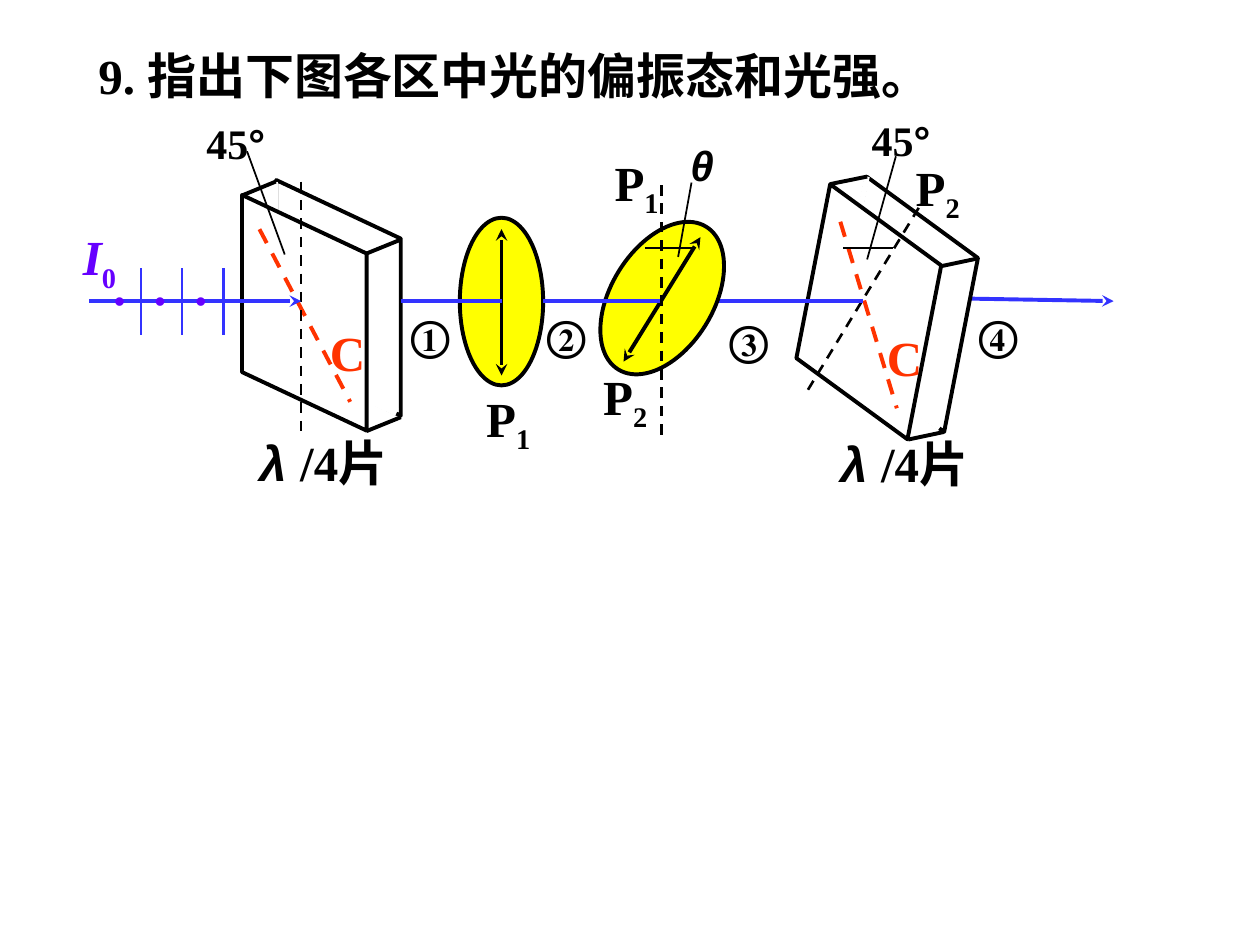
from lxml.etree import SubElement
from pptx import Presentation
from pptx.dml.color import RGBColor
from pptx.enum.dml import MSO_LINE
from pptx.enum.shapes import MSO_CONNECTOR, MSO_SHAPE
from pptx.enum.text import MSO_ANCHOR, MSO_AUTO_SIZE, PP_ALIGN
from pptx.oxml.ns import qn
from pptx.util import Cm, Pt

BLACK, WHITE, YELLOW = "000000", "FFFFFF", "FFFF00"
BLUE, PURPLE, RED = "3333FF", "6600FF", "FF3300"
SERIF, SANS = "Times New Roman", "Arial"
BEAM_Y = 6.07


def color(hex_value):
    return RGBColor.from_string(hex_value)


def add_run(paragraph, text, size, font=SERIF, hue=BLACK, bold=True, italic=False, sub=False):
    run = paragraph.add_run()
    run.text = text
    run.font.size = Pt(size)
    run.font.name = font
    run.font.bold = bold
    run.font.italic = italic
    run.font.color.rgb = color(hue)
    if sub:
        run.font._element.set("baseline", "-25000")


def add_label(slide, left, top, width, height, *runs):
    label = slide.shapes.add_textbox(Cm(left), Cm(top), Cm(width), Cm(height))
    label.text_frame.word_wrap = True
    for run in runs:
        add_run(label.text_frame.paragraphs[0], **run)


def add_polarizer_name(slide, left, top, number):
    add_label(slide, left, top, 1.83, 1.6,
              dict(text="P", size=28), dict(text=number, size=28, sub=True))


def add_ray(slide, start, end, hue=BLACK, weight=2.25, dashed=False, head=False, tail=False):
    ray = slide.shapes.add_connector(
        MSO_CONNECTOR.STRAIGHT, *(Cm(value) for value in (*start, *end)))
    ray.line.color.rgb = color(hue)
    ray.line.width = Pt(weight)
    if dashed:
        ray.line.dash_style = MSO_LINE.DASH
    outline = ray.line._get_or_add_ln()
    for shown, tag in ((head, "a:headEnd"), (tail, "a:tailEnd")):
        if shown:
            SubElement(outline, qn(tag)).set("type", "stealth")
    SubElement(ray._element.spPr, qn("a:effectLst"))


def add_beam(slide, start, end, tail=False):
    add_ray(slide, (start, BEAM_Y), (end, BEAM_Y), BLUE, tail=tail)


def style_outline(shape, fill, weight=2.25):
    shape.shadow.inherit = False
    if fill:
        shape.fill.solid()
        shape.fill.fore_color.rgb = color(fill)
    else:
        shape.fill.background()
    shape.line.color.rgb = color(BLACK)
    shape.line.width = Pt(weight)


def add_face(slide, left, top, rotation, fill=None):
    face = slide.shapes.add_shape(
        MSO_SHAPE.PARALLELOGRAM, Cm(left), Cm(top), Cm(4.75), Cm(2.51))
    face.adjustments[0] = 0.47
    face.rotation = rotation
    style_outline(face, fill)


def add_wave_plate(slide, rotation, back, front, right_edges, masks, top_edge, optic_axis):
    add_face(slide, *back, rotation)
    for edge in right_edges:
        add_ray(slide, *edge)
    for mask, weight in zip(masks, (3, 4.5)):
        add_ray(slide, *mask, WHITE, weight)
    add_face(slide, *front, rotation, WHITE)
    add_ray(slide, *top_edge)
    add_ray(slide, *optic_axis, RED, dashed=True)


def add_polarizer(slide, left, top, width, rotation, axis):
    disc = slide.shapes.add_shape(MSO_SHAPE.OVAL, Cm(left), Cm(top), Cm(width), Cm(3.38))
    disc.rotation = rotation
    style_outline(disc, YELLOW)
    add_ray(slide, *axis, head=True, tail=True)


def bezier(p0, p1, p2, p3, t):
    return tuple((1 - t) ** 3 * a + 3 * (1 - t) ** 2 * t * b + 3 * (1 - t) * t ** 2 * c + t ** 3 * d
                 for a, b, c, d in zip(p0, p1, p2, p3))


def add_angle_arc(slide, *knots, steps=8):
    curve = [bezier(*knots[i:i + 4], step / steps)
             for i in range(0, len(knots) - 1, 3) for step in range(1, steps + 1)]
    builder = slide.shapes.build_freeform(*knots[0], scale=Cm(1))
    builder.add_line_segments(curve, close=False)
    style_outline(builder.convert_to_shape(), None, 1.5)


def add_title(slide, text):
    title = slide.shapes.title
    title.left, title.top, title.width, title.height = Cm(1.73), Cm(0.79), Cm(20.73), Cm(1.45)
    frame = title.text_frame
    frame.vertical_anchor = MSO_ANCHOR.TOP
    frame.auto_size = MSO_AUTO_SIZE.NONE
    frame.paragraphs[0].alignment = PP_ALIGN.LEFT
    add_run(frame.paragraphs[0], text, 28)


def add_incoming_light(slide):
    add_ray(slide, (6.07, 3.66), (6.07, 8.69), weight=1.5, dashed=True)
    add_beam(slide, 1.8, 6.07, tail=True)
    for index in range(3):
        tick = 2.84 + 0.83 * index
        add_ray(slide, (tick, 5.41), (tick, 6.76), BLUE, 1.5)
        add_label(slide, 2.05 + 0.82 * index, 5.54, 1.02, 1.02,
                  dict(text="•", size=18, font=SANS, hue=PURPLE, bold=False))
    add_label(slide, 1.42, 4.45, 1.52, 1.6,
              dict(text="I", size=28, hue=PURPLE, italic=True),
              dict(text="0", size=28, hue=PURPLE, sub=True))


def add_plate_labels(slide, axis_name, plate_name, angle):
    add_label(slide, *axis_name, 1.57, 1.45, dict(text="C", size=28, hue=RED))
    add_label(slide, *plate_name, 4.29, 1.45,
              dict(text="λ ", size=28, font=SANS, italic=True), dict(text="/4片", size=28))
    add_label(slide, *angle, 2.21, 1.27,
              dict(text="45", size=24), dict(text="°", size=24, font=SANS))


def main():
    deck = Presentation()
    deck.slide_width, deck.slide_height = Cm(25.4), Cm(19.05)
    slide = deck.slides.add_slide(deck.slide_layouts[5])
    add_title(slide, "9. 指出下图各区中光的偏振态和光强。")

    add_wave_plate(
        slide, 270, back=(4.45, 4.75), front=(3.76, 5.05),
        right_edges=(((7.39, 5.11), (8.08, 4.83)), ((7.39, 8.69), (8.08, 8.41))),
        masks=(((5.56, 3.66), (5.56, 4.52)), ((7.32, 8), (8, 8.31))),
        top_edge=((4.88, 3.94), (5.56, 3.66)), optic_axis=((5.23, 4.62), (7.06, 8.1)))
    add_incoming_light(slide)
    add_ray(slide, (19.56, 6.02), (22.45, BEAM_Y), BLUE, tail=True)
    add_angle_arc(slide, (5.59, 5.33), (5.61, 5.18), (5.64, 5.03), (5.74, 4.98),
                  (5.82, 4.95), (5.94, 5.05), (6.07, 5.13))
    add_polarizer(slide, 9.27, 4.39, 1.68, 0, ((10.11, 4.62), (10.11, 7.57)))
    add_polarizer_name(slide, 9.55, 7.7, "1")

    add_wave_plate(
        slide, 281, back=(15.88, 4.88), front=(15.14, 5.03),
        right_edges=(((19, 5.36), (19.71, 5.21)), ((18.31, 8.86), (19.02, 8.71))),
        masks=(((17.48, 3.56), (17.3, 4.42)), ((18.34, 8.18), (18.95, 8.61))),
        top_edge=((16.74, 3.71), (17.48, 3.56)), optic_axis=((16.94, 4.47), (18.08, 8.23)))
    add_ray(slide, (18.52, 4.19), (16.28, 7.87), weight=1.5, dashed=True)
    add_angle_arc(slide, (17.25, 5.41), (17.32, 5.28), (17.4, 5.18), (17.48, 5.18),
                  (17.58, 5.18), (17.7, 5.28), (17.83, 5.41))
    add_polarizer_name(slide, 18.21, 3.05, "2")

    add_beam(slide, 12.78, 17.4)
    add_polarizer_name(slide, 11.91, 7.26, "2")
    add_polarizer_name(slide, 12.14, 2.95, "1")
    add_polarizer(slide, 12.32, 4.32, 2.06, 31.6, ((14.12, 4.78), (12.57, 7.29)))
    add_ray(slide, (13.34, 3.73), (13.34, 8.79), weight=1.5, dashed=True)
    add_angle_arc(slide, (13.31, 5.38), (13.41, 5.28), (13.51, 5.18), (13.59, 5.18),
                  (13.64, 5.21), (13.67, 5.33), (13.69, 5.46))
    add_label(slide, 13.67, 2.69, 2.36, 1.27,
              dict(text="θ", size=24, font=SANS, italic=True))

    for leader in (((13.67, 5.18), (13.94, 3.68)), ((5.74, 5.13), (4.98, 3.05)),
                   ((17.48, 5.23), (18.06, 3.15))):
        add_ray(slide, *leader, weight=1)
    add_plate_labels(slide, (6.4, 6.38), (4.98, 8.59), (3.91, 2.24))
    add_plate_labels(slide, (17.63, 6.48), (16.69, 8.61), (17.32, 2.18))
    add_beam(slide, 8.08, 10.11)
    for number, left, top in (("①", 8.03, 6.12), ("②", 10.77, 6.12),
                              ("③", 14.45, 6.22), ("④", 19.48, 6.12)):
        add_label(slide, left, top, 1.57, 1.27, dict(text=number, size=24))
    add_beam(slide, 10.95, 13.31)
    deck.save("out.pptx")


if __name__ == "__main__":
    main()
